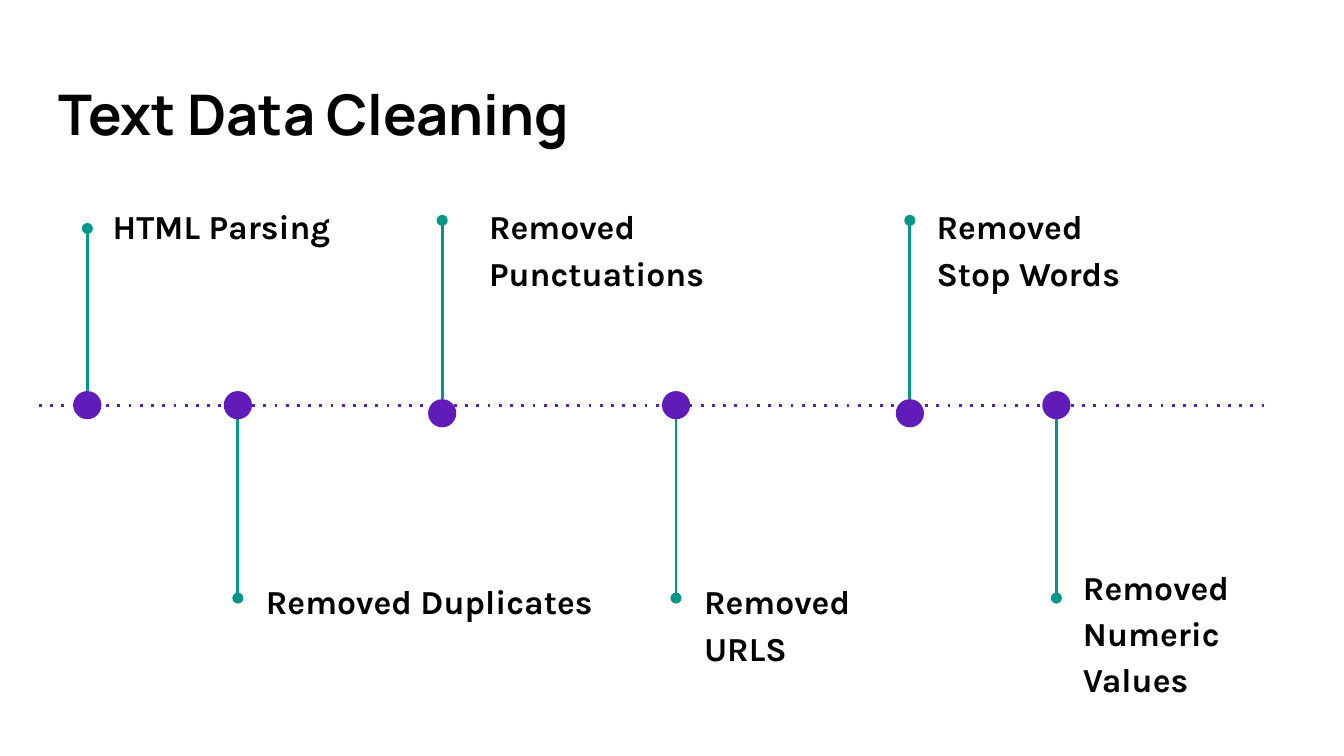
import pptx
import pptx.dml.color
import pptx.enum.shapes
import pptx.enum.text
import pptx.oxml.ns
import pptx.util
from lxml import etree

Inches = pptx.util.Inches
RGBColor = pptx.dml.color.RGBColor

BLACK = RGBColor(0x00, 0x00, 0x00)
WHITE = RGBColor(0xFF, 0xFF, 0xFF)
PURPLE = RGBColor(0x61, 0x1B, 0xB8)
TEAL = RGBColor(0x00, 0x96, 0x88)

AXIS = 3.02  # height of the time line
DOT = 0.21  # width of a step marker

# Stem x, marker top, stem end, label box, label
STEPS = [
    (0.65, 2.91, 1.70, (0.74, 1.39, 2.91, 1.06), "HTML Parsing"),
    (1.77, 2.91, 4.45, (1.88, 4.18, 2.91, 1.06), "Removed Duplicates"),
    (3.29, 2.97, 1.64, (3.54, 1.39, 2.91, 1.06), "Removed Punctuations"),
    (5.03, 2.91, 4.45, (5.14, 4.18, 1.67, 1.06), "Removed URLS"),
    (6.77, 2.97, 1.64, (6.87, 1.39, 1.84, 1.06), "Removed Stop Words"),
    (7.86, 2.91, 4.45, (7.96, 4.07, 1.94, 1.06), "Removed Numeric Values"),
]


def write(frame, text, font="Karla", size=18, color=BLACK, bold=True, space=None):
    para = frame.paragraphs[0]
    if space:
        para.line_spacing = space
    run = para.add_run()
    run.text = text
    run.font.name = font
    run.font.size = pptx.util.Pt(size)
    run.font.bold = bold
    run.font.color.rgb = color


def add_tag(parent, tag, **attrs):
    etree.SubElement(parent, pptx.oxml.ns.qn(tag), attrs)


class Deck:
    def __init__(self, slide, width=1.5):
        self.slide = slide
        self.width = pptx.util.Pt(width)

    def label(self, box, text, **style):
        shape = self.slide.shapes.add_textbox(*map(Inches, box))
        frame = shape.text_frame
        frame.word_wrap = True
        frame.vertical_anchor = pptx.enum.text.MSO_ANCHOR.TOP
        frame.margin_left = frame.margin_right = Inches(0.1)
        frame.margin_top = frame.margin_bottom = Inches(0.1)
        write(frame, text, **style)

    def line(self, start, end, color, dash=None, tail=None):
        kind = pptx.enum.shapes.MSO_CONNECTOR.STRAIGHT
        line = self.slide.shapes.add_connector(kind, *map(Inches, start + end))
        line.line.width = self.width
        line.line.color.rgb = color
        props = line._element.spPr.find(pptx.oxml.ns.qn("a:ln"))
        if dash:
            add_tag(props, "a:prstDash", val=dash)
        if tail:
            add_tag(props, "a:tailEnd", type=tail, w="med", len="med")
        add_tag(line._element.spPr, "a:effectLst")

    def dot(self, x, top, color):
        kind = pptx.enum.shapes.MSO_SHAPE.OVAL
        box = (x - DOT / 2, top, DOT, DOT)
        shape = self.slide.shapes.add_shape(kind, *map(Inches, box))
        shape.shadow.inherit = False
        shape.fill.solid()
        shape.fill.fore_color.rgb = color
        shape.line.fill.background()


def main():
    prs = pptx.Presentation()
    prs.slide_width = Inches(10)
    prs.slide_height = Inches(10 * 9 / 16)
    slide = prs.slides.add_slide(prs.slide_layouts[6])
    slide.background.fill.solid()
    slide.background.fill.fore_color.rgb = WHITE
    deck = Deck(slide)

    # Title
    deck.label((0.34, 0.49, 9.32, 0.68), "Text Data Cleaning", font="Manrope", size=30)

    # Time line
    deck.line((0.29, AXIS), (9.41, AXIS), PURPLE, dash="dot")

    # Steps: a stem leaves its marker upward or downward
    for x, top, end, box, text in STEPS:
        start = top if end < top else top + DOT
        deck.line((x, start), (x, end), TEAL, tail="oval")
        deck.dot(x, top, PURPLE)
        deck.label(box, text, space=1.15)

    prs.save("out.pptx")


if __name__ == "__main__":
    main()
